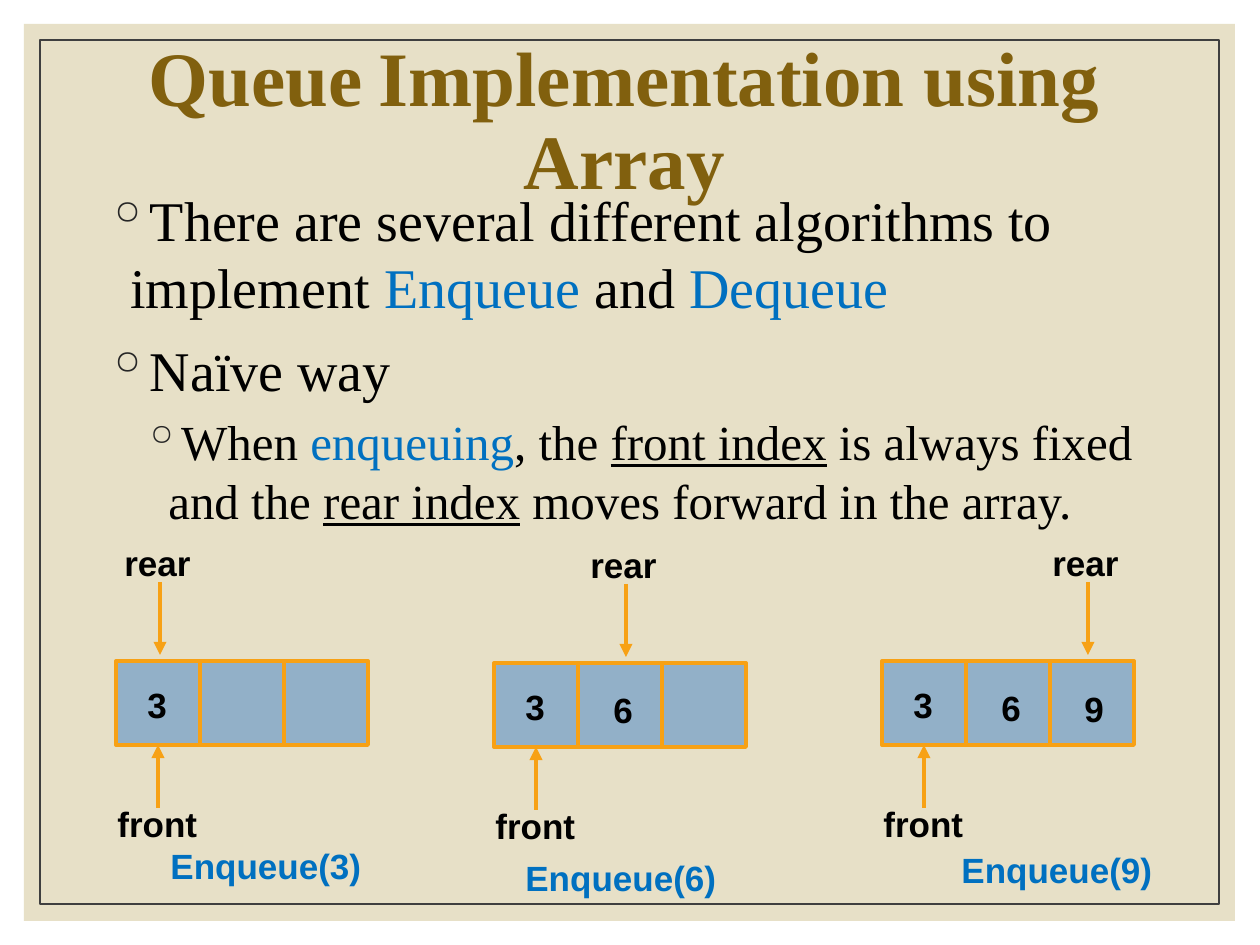
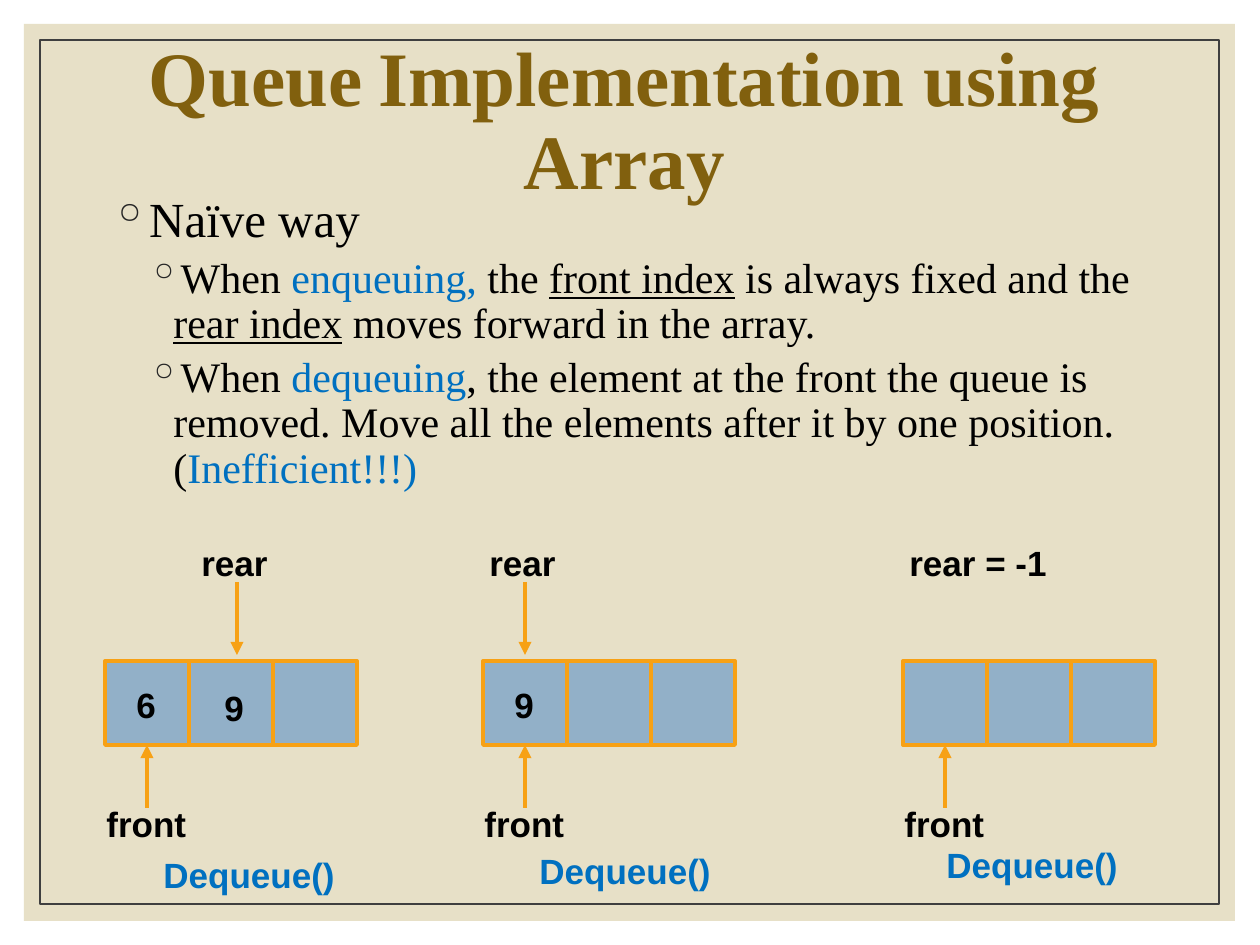
"""Build two slides on a queue kept in an array."""
from dataclasses import dataclass
from lxml.etree import SubElement
from pptx import Presentation
from pptx.dml.color import RGBColor
from pptx.enum.shapes import MSO_CONNECTOR, MSO_SHAPE
from pptx.enum.text import MSO_ANCHOR, PP_ALIGN
from pptx.oxml.ns import qn
from pptx.util import Pt

HEAD = [("Queue", {}), (" ", {"size": 36, "bold": False}),
        ("Implementation using Array", {})]

BLUE, UNDER = {"color": "0070C0"}, {"under": True}
FRONT = ("front index", UNDER)
REAR = ("rear index", UNDER)
FIXED = " is always fixed and the "
MOVES = " moves forward in the array."

SLIDES = [
    {"body": (93, 179, 1081, 346), "size": (32, 28), "lead": 1.0,
     "points": [
         (0, ["There are several different algorithms to implement ",
              ("Enqueue", BLUE), " and ", ("Dequeue", BLUE)]),
         (0, ["Naïve way"]),
         (1, ["When ", ("enqueuing", BLUE), ", the ", FRONT, FIXED, REAR, MOVES])],
     "queues": [
         {"at": (116, 661), "items": "3", "rear": 160,
          "call": ("Enqueue(3)", 158, 838)},
         {"at": (494, 663), "items": "36", "rear": 626,
          "call": ("Enqueue(6)", 513, 850)},
         {"at": (882, 661), "items": "369", "rear": 1088,
          "call": ("Enqueue(9)", 949, 842)}]},
    {"body": (98, 189, 1081, 315), "size": (28, 24), "lead": 0.9,
     "points": [
         (0, ["Naïve way"]),
         (1, ["When ", ("enqueuing,", BLUE), " the ", FRONT, FIXED, REAR, MOVES]),
         (1, ["When ", ("dequeuing", BLUE),
              ", the element at the front the queue is removed. "
              "Move all the elements after it by one position. (",
              ("Inefficient!!!)", BLUE)])],
     "queues": [
         {"at": (105, 661), "items": "69", "rear": 237,
          "call": ("Dequeue()", 151, 847)},
         {"at": (483, 661), "items": "9", "rear": 525,
          "call": ("Dequeue()", 527, 843)},
         {"at": (903, 661), "items": "", "rear": None,
          "call": ("Dequeue()", 934, 837)}]},
]


@dataclass(frozen=True)
class Theme:
    """Colours, fonts and type sizes."""
    paper: str = "E7E0C7"
    frame: str = "3F3F3F"
    title: str = "81600E"
    ink: str = "000000"
    dot: str = "262626"
    call: str = "0070C0"
    cell: str = "92B0C8"
    edge: str = "F7A115"
    serif: str = "Times New Roman"
    sans: str = "Arial"
    big: int = 44
    small: int = 20


LOOK = Theme()
CELL = 84
SPOTS = [(19, 16), (107, 19), (190, 20)]
LEVELS = [(25, 25, 9), (63, 26, 5)]


def px(num):
    """Turn px into EMU."""
    return round(num * 914400 / 126)


def rgb(code):
    """Make a colour from hex."""
    return RGBColor.from_string(code)


def bullet(para, level):
    """Give a paragraph its level, indent and ring bullet."""
    left, hang, _ = LEVELS[level]
    para.level = level
    props = para._p.get_or_add_pPr()
    props.set("marL", str(px(left)))
    props.set("indent", str(-px(hang)))
    tint = SubElement(props, qn("a:buClr"))
    SubElement(tint, qn("a:srgbClr")).set("val", LOOK.dot)
    SubElement(props, qn("a:buChar")).set("char", "◦")


def style(run, font, size, color, bold=False, under=False):
    """Format one run."""
    face = run.font
    face.name, face.size, face.bold = font, Pt(size), bold
    face.underline = under
    face.color.rgb = rgb(color)


def write(slide, box, paras, size=(LOOK.small,), font=LOOK.sans, color=LOOK.ink,
          bold=True, align=PP_ALIGN.LEFT, anchor=MSO_ANCHOR.TOP, lead=1.0,
          dots=False):
    """Add a text box; paras is a string or a list of (level, runs)."""
    frame = slide.shapes.add_textbox(*map(px, box)).text_frame
    frame.word_wrap, frame.vertical_anchor = True, anchor
    if isinstance(paras, str):
        paras = [(0, [paras])]
    for num, (level, runs) in enumerate(paras):
        para = frame.add_paragraph() if num else frame.paragraphs[0]
        para.alignment, para.line_spacing = align, lead
        if num:
            para.space_before = Pt(LEVELS[level][2])
        if dots:
            bullet(para, level)
        for part in runs:
            words, extra = (part, {}) if isinstance(part, str) else part
            run = para.add_run()
            run.text = words
            base = {"font": font, "size": size[level], "color": color, "bold": bold}
            style(run, **{**base, **extra})


def rect(slide, box, fill=None, line=None, width=1.0):
    """Add a flat rectangle."""
    shape = slide.shapes.add_shape(MSO_SHAPE.RECTANGLE, *map(px, box))
    shape.shadow.inherit = False
    if fill:
        shape.fill.solid()
        shape.fill.fore_color.rgb = rgb(fill)
    else:
        shape.fill.background()
    if line:
        shape.line.color.rgb = rgb(line)
        shape.line.width = Pt(width)
    else:
        shape.line.fill.background()
    return shape


def arrow(slide, x, start, stop):
    """Add an upright arrow."""
    link = slide.shapes.add_connector(
        MSO_CONNECTOR.STRAIGHT, px(x), px(start), px(x), px(stop))
    link.line.color.rgb = rgb(LOOK.edge)
    link.line.width = Pt(2.5)
    SubElement(link.line._ln, qn("a:tailEnd")).set("type", "triangle")
    SubElement(link._element.spPr, qn("a:effectLst"))
    return link


def queue(slide, at, items, rear, call):
    """Draw one array with its front, rear and call."""
    left, top = at
    cells = [rect(slide, (left + num * CELL, top, CELL, CELL),
                  LOOK.cell, LOOK.edge, 2.25) for num in range(3)]
    for item, (dx, dy) in zip(items, SPOTS):
        write(slide, (left + dx, top + dy, 42, 54), item)
    write(slide, (left - 11, top + 135, 136, 54), "front")
    arrow(slide, left + CELL // 2, top + 147, top + CELL).end_connect(cells[0], 2)
    if rear is None:
        write(slide, (left - 6, top - 126, 164, 54), "rear = -1")
    else:
        write(slide, (rear - 48, top - 126, 136, 54), "rear")
        arrow(slide, rear, top - 79, top - 6)
    words, x, y = call
    write(slide, (x, y, 243, 54), words, color=LOOK.call)


def main():
    """Build and save the deck."""
    deck = Presentation()
    deck.slide_width, deck.slide_height = px(1260), px(945)
    for page in SLIDES:
        slide = deck.slides.add_slide(deck.slide_layouts[6])
        rect(slide, (24, 24, 1211, 897), fill=LOOK.paper)
        rect(slide, (40, 40, 1179, 864), line=LOOK.frame, width=0.75)
        write(slide, (72, 33, 1105, 180), [(0, HEAD)], size=(LOOK.big,),
              font=LOOK.serif, color=LOOK.title, align=PP_ALIGN.CENTER,
              anchor=MSO_ANCHOR.MIDDLE, lead=0.9)
        write(slide, page["body"], page["points"], size=page["size"],
              font=LOOK.serif, bold=False, lead=page["lead"], dots=True)
        for spec in page["queues"]:
            queue(slide, **spec)
    deck.save("out.pptx")


if __name__ == "__main__":
    main()
